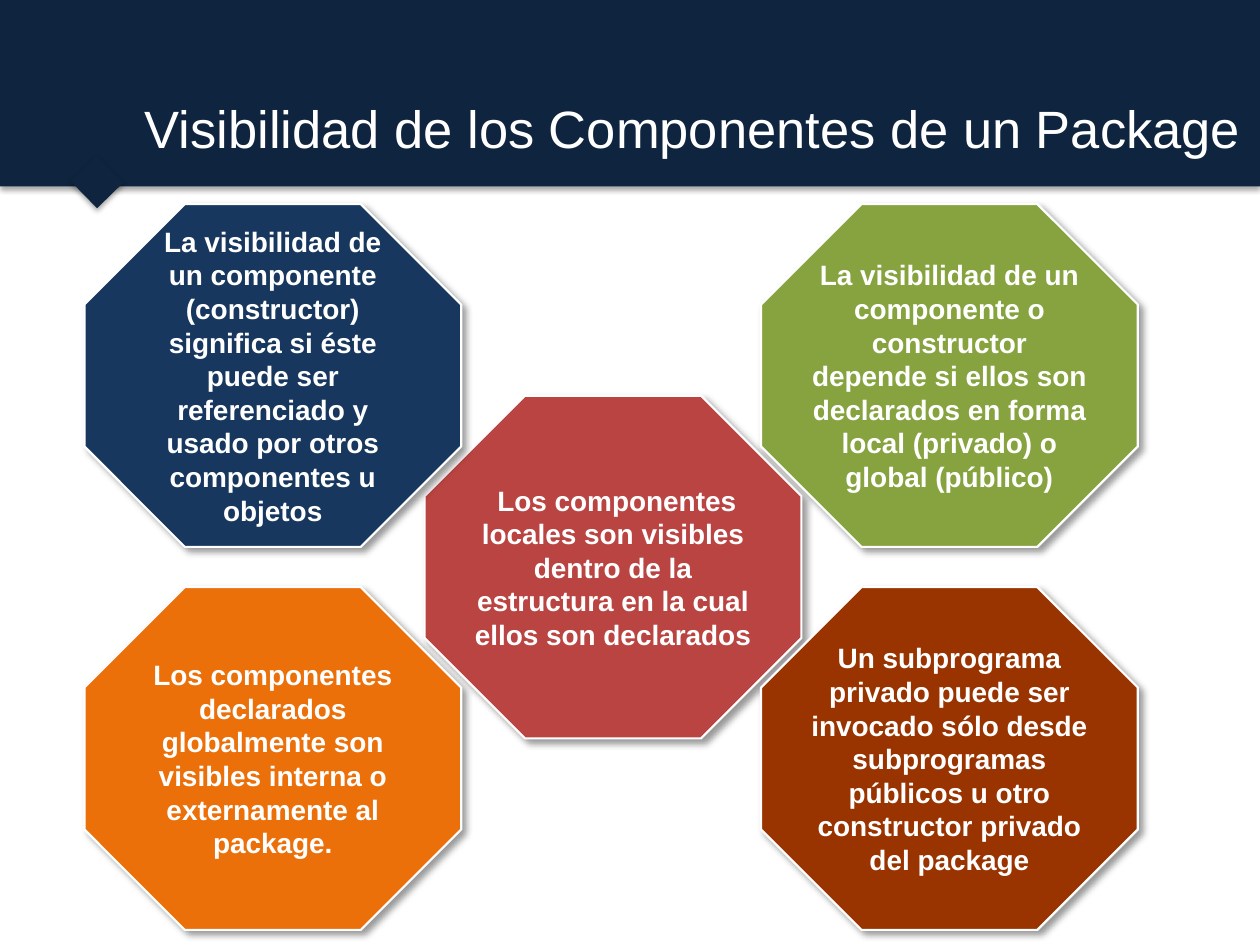
from lxml import etree
from pptx import Presentation
from pptx.dml.color import RGBColor
from pptx.enum import shapes, text
from pptx.oxml import ns
from pptx.util import Inches, Pt

TITLE = "Visibilidad de los Componentes de un Package"

# column, row, fill, paragraphs; listed from back to front
OCTAGONS = [
    ("middle", "middle", "red",
     [" Los componentes locales son visibles dentro de la estructura "
      "en la cual ellos son declarados"]),
    ("right", "top", "green",
     ["La visibilidad de un componente o constructor depende si ellos son "
      "declarados en forma local (privado) o global (público)"]),
    ("left", "top", "blue",
     ["La visibilidad de", "un componente",
      "(constructor) significa si éste puede ser referenciado y usado "
      "por otros componentes u objetos"]),
    ("left", "bottom", "orange",
     ["Los componentes declarados globalmente son visibles interna o "
      "externamente al package."]),
    ("right", "bottom", "brown",
     ["Un subprograma privado puede ser invocado sólo desde subprogramas "
      "públicos u otro constructor privado del package"]),
]

THEME = {
    "navy": "0F243E", "white": "FFFFFF", "black": "000000",
    "red": "B94441", "green": "86A33F", "blue": "17375E",
    "orange": "EC700A", "brown": "993300",
    "font": "Arial", "title_size": 30, "body_size": 16, "outline": 1.25,
    "banner_shadow": {"blur": 3.1, "distance": 1.8, "angle": 90, "opacity": 35},
    "octagon_shadow": {"blur": 4, "distance": 3, "angle": 45, "opacity": 40},
}

COLUMNS = {"left": 0.67, "middle": 3.37, "right": 6.04}
ROWS = {"top": 1.62, "middle": 3.14, "bottom": 4.66}
OCTAGON_SIZE = (2.99, 2.72)


def color(name):
    return RGBColor.from_string(THEME[name])


def set_all(target, values):
    for name, value in values.items():
        setattr(target, name, value)


def add_shadow(shape, blur, distance, angle, opacity):
    shape.shadow.inherit = False
    effects = shape.element.spPr.find(ns.qn("a:effectLst"))
    outer = etree.SubElement(
        effects, ns.qn("a:outerShdw"), blurRad=str(Pt(blur)),
        dist=str(Pt(distance)), dir=str(angle * 60000), rotWithShape="0")
    tint = etree.SubElement(outer, ns.qn("a:srgbClr"), val=THEME["black"])
    etree.SubElement(tint, ns.qn("a:alpha"), val=str(opacity * 1000))


def add_filled(page, kind, bounds, fill, shadow):
    shape = page.shapes.add_shape(kind, *map(Inches, bounds))
    shape.fill.solid()
    shape.fill.fore_color.rgb = color(fill)
    shape.line.fill.background()
    add_shadow(shape, **THEME[shadow])
    return shape


def write(frame, paragraphs, size, bold, align):
    set_all(frame, {"word_wrap": True, "auto_size": text.MSO_AUTO_SIZE.NONE,
                    "vertical_anchor": text.MSO_ANCHOR.MIDDLE})
    for index, words in enumerate(paragraphs):
        para = frame.add_paragraph() if index else frame.paragraphs[0]
        para.alignment = align
        span = para.add_run()
        span.text = words
        set_all(span.font, {"name": THEME["font"], "size": Pt(THEME[size]),
                            "bold": bold})
        span.font.color.rgb = color("white")


def add_header(page):
    title = page.shapes.title
    set_all(title, dict(zip(("left", "top", "width", "height"),
                            map(Inches, (0.35, 0.21, 9.6, 1.6)))))
    write(title.text_frame, [TITLE], "title_size", False, text.PP_ALIGN.RIGHT)
    rectangle = shapes.MSO_SHAPE.RECTANGLE
    for bounds, angle in (((0, 0, 10, 1.48), 0), ((0.62, 1.3, 0.3, 0.29), 45.6)):
        band = add_filled(page, rectangle, bounds, "navy", "banner_shadow")
        band.rotation = angle
        title.element.addprevious(band.element)  # keeps the title in front


def add_octagon(page, column, row, fill, paragraphs):
    bounds = (COLUMNS[column], ROWS[row], *OCTAGON_SIZE)
    octagon = add_filled(page, shapes.MSO_SHAPE.OCTAGON, bounds, fill,
                         "octagon_shadow")
    octagon.line.color.rgb = color("white")
    octagon.line.width = Pt(THEME["outline"])
    frame = octagon.text_frame
    set_all(frame, {f"margin_{side}": 0
                    for side in ("left", "top", "right", "bottom")})
    write(frame, paragraphs, "body_size", True, text.PP_ALIGN.CENTER)


def main():
    deck = Presentation()
    set_all(deck, {"slide_width": Inches(10), "slide_height": Inches(7.5)})
    page = deck.slides.add_slide(deck.slide_layouts.get_by_name("Title Only"))
    add_header(page)
    for octagon in OCTAGONS:
        add_octagon(page, *octagon)
    deck.save("out.pptx")


if __name__ == "__main__":
    main()
